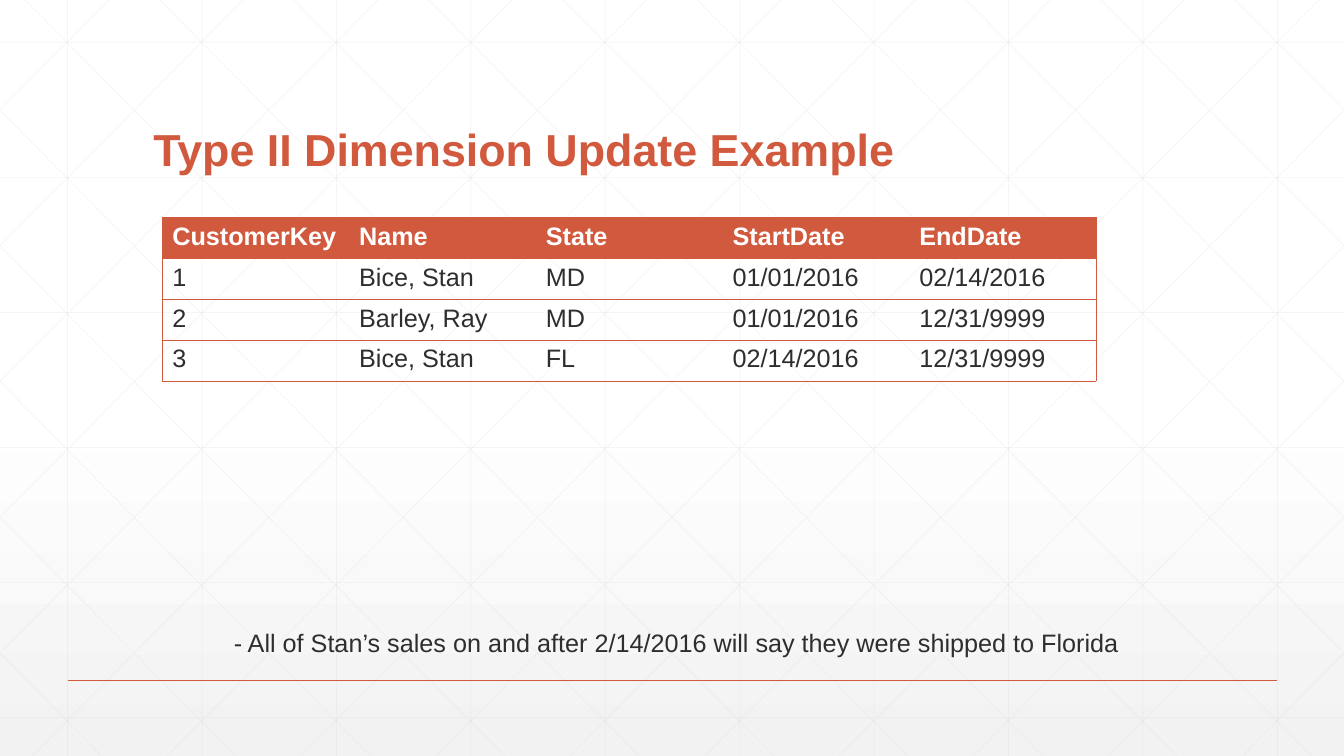
from copy import deepcopy

from lxml import etree
from pptx import Presentation
from pptx.dml.color import RGBColor
from pptx.enum.shapes import MSO_CONNECTOR
from pptx.enum.text import MSO_ANCHOR, MSO_AUTO_SIZE, PP_ALIGN
from pptx.oxml.ns import qn
from pptx.util import Inches, Pt

STRAIGHT = MSO_CONNECTOR.STRAIGHT
BOTTOM = MSO_ANCHOR.BOTTOM
NO_AUTOFIT = MSO_AUTO_SIZE.NONE
FIT_SHAPE = MSO_AUTO_SIZE.SHAPE_TO_FIT_TEXT
LEFT = PP_ALIGN.LEFT

WIDTH, HEIGHT = 13.33, 7.5
FONT = "Arial"
ACCENT, INK, WHITE = "D15A3E", "2D2E2D", "FFFFFF"
GRID, PALE = "D9D9D9", "F2F2F2"
PLAIN_TABLE = "{2D5ABB26-0587-4C30-8999-92F81FD0307C}"

CUSTOMERS = [
    ["CustomerKey", "Name", "State", "StartDate", "EndDate"],
    ["1", "Bice, Stan", "MD", "01/01/2016", "02/14/2016"],
    ["2", "Barley, Ray", "MD", "01/01/2016", "12/31/9999"],
    ["3", "Bice, Stan", "FL", "02/14/2016", "12/31/9999"],
]


def colour(value):
    return RGBColor.from_string(value)


def format_text(paragraph, size, value, bold=False):
    paragraph.alignment = LEFT
    for run in paragraph.runs:
        run.font.name = FONT
        run.font.size = Pt(size)
        run.font.bold = bold
        run.font.color.rgb = colour(value)


def add_rule(slide, start, end, value, weight, opacity=100):
    points = [Inches(length) for length in (*start, *end)]
    rule = slide.shapes.add_connector(STRAIGHT, *points)
    rule.line.color.rgb = colour(value)
    rule.line.width = Pt(weight)
    etree.SubElement(rule.element.spPr, qn("a:effectLst"))
    if opacity < 100:
        tint = next(rule.element.iter(qn("a:srgbClr")))
        etree.SubElement(tint, qn("a:alpha")).set("val", str(opacity * 1000))


def fill_background(slide):
    fill = slide.background.fill
    fill.gradient()
    fill.gradient_angle = 270
    first_stop = next(slide.element.iter(qn("a:gs")))
    first_stop.addnext(deepcopy(first_stop))
    shades = [(0, WHITE), (0.53, WHITE), (1, PALE)]
    for stop, (position, value) in zip(fill.gradient_stops, shades):
        stop.position = position
        stop.color.rgb = colour(value)


def add_grid(slide, width, height):
    step, lean = 4 / 3, 0.99
    segments = []
    for column in range(10):
        x = 0.67 + column * step
        segments.append(((x, 0), (x, height)))
    for row in range(6):
        y = 0.42 + row * 1.34
        segments.append(((0, y), (width, y)))
    for diagonal in range(-5, 10):
        x = 0.25 + diagonal * step
        top = max(0, -x / lean)
        bottom = min(height, (width - x) / lean)
        start, end = x + lean * top, x + lean * bottom
        segments.append(((start, top), (end, bottom)))
        segments.append(((width - start, top), (width - end, bottom)))
    for start, end in segments:
        add_rule(slide, start, end, GRID, 0.5, opacity=25)


def place_title(slide, left, top, width, height):
    title = slide.shapes.title
    title.element.getparent().append(title.element)
    title.left, title.top = Inches(left), Inches(top)
    title.width, title.height = Inches(width), Inches(height)
    frame = title.text_frame
    frame.text = "Type II Dimension Update Example"
    frame.auto_size = NO_AUTOFIT
    frame.vertical_anchor = BOTTOM
    frame.paragraphs[0].line_spacing = 0.9
    format_text(frame.paragraphs[0], 32, ACCENT, bold=True)


def add_borders(cell, sides):
    properties = cell._tc.get_or_add_tcPr()
    for side in sides:
        border = etree.SubElement(properties, qn(f"a:ln{side}"))
        border.set("w", str(Pt(0.5)))
        fill = etree.SubElement(border, qn("a:solidFill"))
        etree.SubElement(fill, qn("a:srgbClr")).set("val", ACCENT)


def add_customer_table(slide, left, top, width, height):
    box = [Inches(length) for length in (left, top, width, height)]
    last = len(CUSTOMERS[0]) - 1
    frame = slide.shapes.add_table(len(CUSTOMERS), last + 1, *box)
    table = frame.table
    table.horz_banding = False
    next(frame.element.iter(qn("a:tableStyleId"))).text = PLAIN_TABLE
    for row, values in enumerate(CUSTOMERS):
        header = row == 0
        for column, value in enumerate(values):
            cell = table.cell(row, column)
            cell.text = value
            format_text(cell.text_frame.paragraphs[0], 18,
                        WHITE if header else INK, bold=header)
            edges = ("L" if column == 0 else "") + ("R" if column == last else "")
            add_borders(cell, edges + "TB")
            if header:
                cell.fill.solid()
                cell.fill.fore_color.rgb = colour(ACCENT)
            else:
                cell.fill.background()


def add_sales_note(slide, left, top, width, height):
    box = [Inches(length) for length in (left, top, width, height)]
    frame = slide.shapes.add_textbox(*box).text_frame
    frame.text = ("- All of Stan’s sales on and after 2/14/2016 "
                  "will say they were shipped to Florida")
    frame.word_wrap = False
    frame.auto_size = FIT_SHAPE
    format_text(frame.paragraphs[0], 18, INK)


def main():
    presentation = Presentation()
    presentation.slide_width = Inches(WIDTH)
    presentation.slide_height = Inches(HEIGHT)
    slide = presentation.slides.add_slide(presentation.slide_layouts[5])
    fill_background(slide)
    add_grid(slide, WIDTH, HEIGHT)
    add_rule(slide, (0.67, 6.75), (12.67, 6.75), ACCENT, 1)
    place_title(slide, 1.42, 0.55, 10.5, 1.25)
    add_customer_table(slide, 1.61, 2.16, 9.26, 1.62)
    add_sales_note(slide, 2.22, 6.17, 8.99, 0.4)
    presentation.save("out.pptx")


if __name__ == "__main__":
    main()
